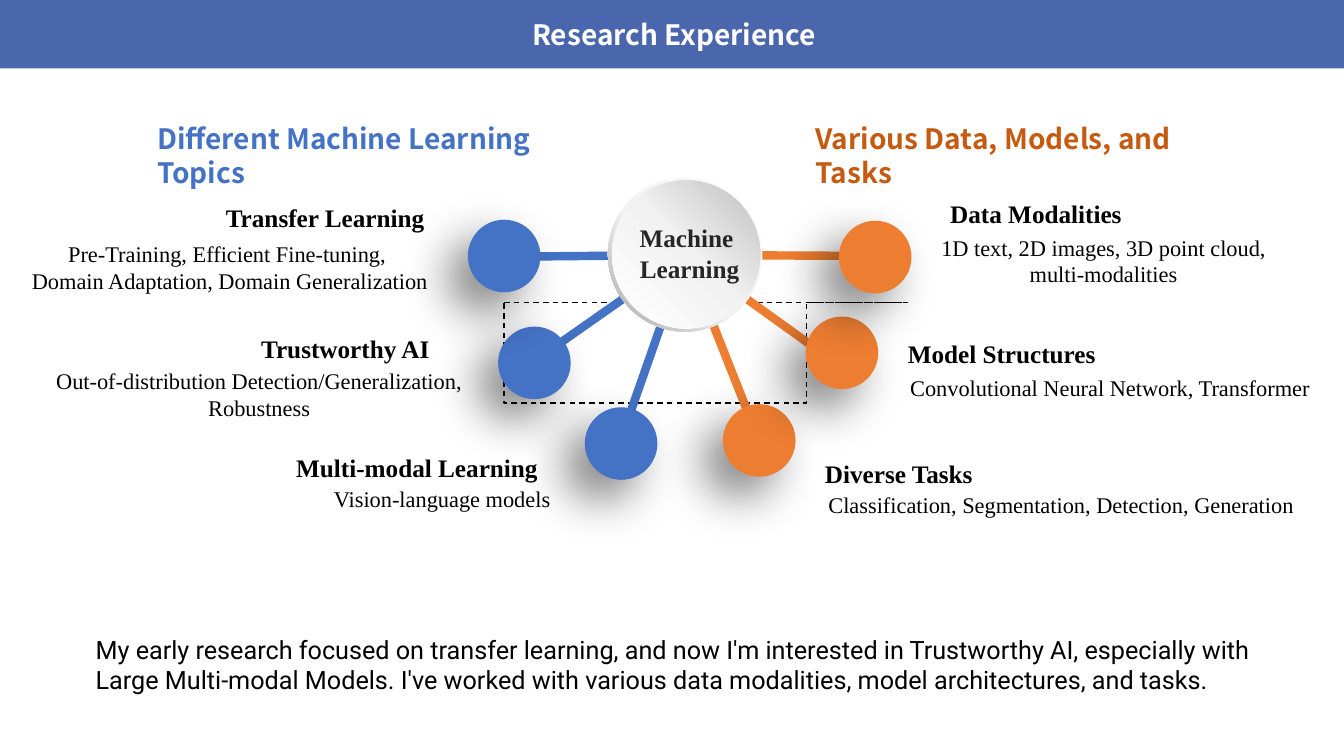
"""Build the research experience slide: a hub with six topic nodes."""
from dataclasses import dataclass

from lxml import etree
from pptx import Presentation
from pptx.dml.color import RGBColor
from pptx.enum.dml import MSO_LINE
from pptx.enum.shapes import MSO_CONNECTOR, MSO_SHAPE as Shape
from pptx.enum.text import MSO_AUTO_SIZE, PP_ALIGN as Align
from pptx.oxml import parse_xml
from pptx.oxml.ns import nsdecls, qn
from pptx.util import Inches, Pt


@dataclass(frozen=True)
class Theme:
    banner: str = "4A66AC"
    blue: str = "4472C4"
    orange: str = "ED7D31"
    rust: str = "C55A11"
    black: str = "000000"
    dark: str = "262626"
    white: str = "FFFFFF"
    sans: str = "Noto Sans CJK SC"
    serif: str = "Times New Roman"
    plain: str = "Roboto"
    heading: int = 20
    label: int = 18
    detail: int = 16


THEME = Theme()
TITLE = ("Research Experience", (5.18, 0.12, 3.86, 0.44))
HEADINGS = [
    ("Different Machine Learning Topics", (1.46, 1.16, 4.58, 0.44), THEME.blue),
    ("Various Data, Models, and Tasks", (7.99, 1.16, 4.31, 0.44), THEME.rust),
]
TOPICS = [
    ("Transfer Learning", (1.91, 1.96, 2.63, 0.4),
     "Pre-Training, Efficient Fine-tuning, \nDomain Adaptation, Domain Generalization",
     (-0.2, 2.33, 4.96, 0.64)),
    ("Trustworthy AI", (2.11, 3.26, 2.63, 0.4),
     "Out-of-distribution Detection/Generalization,\nRobustness",
     (0.09, 3.59, 4.96, 0.64)),
    ("Multi-modal Learning", (2.54, 4.44, 3.19, 0.4),
     "Vision-language models", (2.79, 4.76, 3.19, 0.37)),
    ("Data Modalities", (8.96, 1.92, 2.63, 0.4),
     "1D text, 2D images, 3D point cloud, multi-modalities",
     (9.12, 2.27, 3.65, 0.64)),
    ("Model Structures", (8.62, 3.31, 2.63, 0.4),
     "Convolutional Neural Network, Transformer", (8.81, 3.66, 4.4, 0.37)),
    ("Diverse Tasks", (7.6, 4.5, 2.63, 0.4),
     "Classification, Segmentation, Detection, Generation",
     (7.9, 4.82, 5.25, 0.37)),
]
SUMMARY = (
    "My early research focused on transfer learning, and now I'm interested in "
    "Trustworthy AI, especially with Large Multi-modal Models. I've worked with "
    "various data modalities, model architectures, and tasks.",
    (0.85, 6.24, 11.91, 0.71),
)
HUB = (6.8, 2.53)
HUB_LABEL = ("Machine \nLearning", (6.24, 2.16, 1.2, 0.71))
HUB_LAYERS = [
    (Shape.DONUT, (6.03, 1.76, 1.53, 1.53), 135,
     [(0, "FFFFFF"), (55, "F2F2F2"), (100, "A6A6A6")]),
    (Shape.OVAL, (6.07, 1.79, 1.47, 1.47), 315,
     [(0, "FFFFFF"), (51, "F2F2F2"), (100, "BFBFBF")]),
]
NODE_SIZE = 0.72
NODES = [
    ((4.94, 3.24), (5.16, 3.68), THEME.blue),
    ((5.8, 4.04), (6.12, 4.47), THEME.blue),
    ((7.17, 4.01), (7.54, 4.4), THEME.orange),
    ((7.99, 3.14), (8.4, 3.68), THEME.orange),
    ((8.32, 2.19), (8.84, 2.54), THEME.orange),
    ((4.64, 2.18), (4.71, 2.55), THEME.blue),
]
ARC_START = (5.01, 2.53)
ARC_CURVES = [
    ((5.29, 2.54), (8.44, 2.49), (8.76, 2.58)),
    ((8.82, 2.82), (8.11, 4.44), (6.85, 4.49)),
    ((5.59, 4.55), (4.73, 2.52), ARC_START),
]
CURVE_STEPS = 24


def add_text(slide, text, box, font, size, color, bold=False, align=Align.LEFT, wrap=True):
    frame = slide.shapes.add_textbox(*map(Inches, box)).text_frame
    frame.word_wrap = wrap
    frame.auto_size = MSO_AUTO_SIZE.SHAPE_TO_FIT_TEXT
    frame.text = text
    for paragraph in frame.paragraphs:
        paragraph.alignment = align
        paragraph.font.name = font
        paragraph.font.size = Pt(size)
        paragraph.font.bold = bold
        paragraph.font.color.rgb = RGBColor.from_string(color)


def add_filled(slide, kind, box, color):
    shape = slide.shapes.add_shape(kind, *map(Inches, box))
    shape.shadow.inherit = False
    shape.line.fill.background()
    shape.fill.solid()
    shape.fill.fore_color.rgb = RGBColor.from_string(color)
    return shape


def set_gradient(shape, angle, stops):
    stop_xml = "".join(
        f'<a:gs pos="{position * 1000}"><a:srgbClr val="{color}"/></a:gs>'
        for position, color in stops)
    gradient = parse_xml(
        f'<a:gradFill {nsdecls("a")} rotWithShape="1"><a:gsLst>{stop_xml}</a:gsLst>'
        f'<a:lin ang="{angle * 60000}" scaled="0"/></a:gradFill>')
    properties = shape.element.spPr
    properties.replace(properties.find(qn("a:solidFill")), gradient)


def add_soft_shadow(shape):
    effects = shape.element.spPr.find(qn("a:effectLst"))
    effects.append(parse_xml(
        f'<a:outerShdw {nsdecls("a")} blurRad="{Pt(35)}" dist="{Pt(20)}" '
        f'dir="{135 * 60000}" algn="tr" rotWithShape="0">'
        f'<a:srgbClr val="{THEME.black}"><a:alpha val="50000"/></a:srgbClr></a:outerShdw>'))


def add_spoke(slide, start, color):
    spoke = slide.shapes.add_connector(
        MSO_CONNECTOR.STRAIGHT, *map(Inches, (*start, *HUB)))
    spoke.line.color.rgb = RGBColor.from_string(color)
    spoke.line.width = Pt(6)
    etree.SubElement(spoke.element.spPr, qn("a:effectLst"))


def curve_point(points, t):
    weights = ((1 - t) ** 3, 3 * t * (1 - t) ** 2, 3 * t * t * (1 - t), t ** 3)
    return tuple(sum(w * p[axis] for w, p in zip(weights, points)) for axis in (0, 1))


def add_arc(slide):
    points, start = [], ARC_START
    for curve in ARC_CURVES:
        points += [curve_point((start, *curve), step / CURVE_STEPS)
                   for step in range(1, CURVE_STEPS + 1)]
        start = curve[-1]
    builder = slide.shapes.build_freeform(*ARC_START, scale=Inches(1))
    builder.add_line_segments(points, close=True)
    arc = builder.convert_to_shape()
    arc.shadow.inherit = False
    arc.fill.background()
    arc.line.color.rgb = RGBColor.from_string(THEME.black)
    arc.line.width = Pt(1)
    arc.line.dash_style = MSO_LINE.DASH


def main():
    presentation = Presentation()
    presentation.slide_width, presentation.slide_height = Inches(13.33), Inches(7.5)
    slide = presentation.slides.add_slide(presentation.slide_layouts[6])

    add_filled(slide, Shape.RECTANGLE, (0, 0, 13.33, 0.68), THEME.banner)
    add_text(slide, *TITLE, THEME.sans, THEME.heading, THEME.white, bold=True)

    add_arc(slide)
    for _, spoke_start, color in NODES:
        add_spoke(slide, spoke_start, color)
    for corner, _, color in NODES:
        add_soft_shadow(add_filled(
            slide, Shape.OVAL, (*corner, NODE_SIZE, NODE_SIZE), color))

    for kind, box, angle, stops in HUB_LAYERS:
        layer = add_filled(slide, kind, box, THEME.white)
        if kind == Shape.DONUT:
            layer.adjustments[0] = 0.05
        set_gradient(layer, angle, stops)
    add_text(slide, *HUB_LABEL, THEME.serif, THEME.label, THEME.dark,
             bold=True, align=Align.CENTER, wrap=False)

    for label, label_box, detail, detail_box in TOPICS:
        add_text(slide, label, label_box, THEME.serif, THEME.label, THEME.black,
                 bold=True, align=Align.CENTER)
        add_text(slide, detail, detail_box, THEME.serif, THEME.detail, THEME.black,
                 align=Align.CENTER)
    for heading, box, color in HEADINGS:
        add_text(slide, heading, box, THEME.sans, THEME.heading, color, bold=True)
    add_text(slide, *SUMMARY, THEME.plain, THEME.label, THEME.black)
    presentation.save("out.pptx")


if __name__ == "__main__":
    main()
